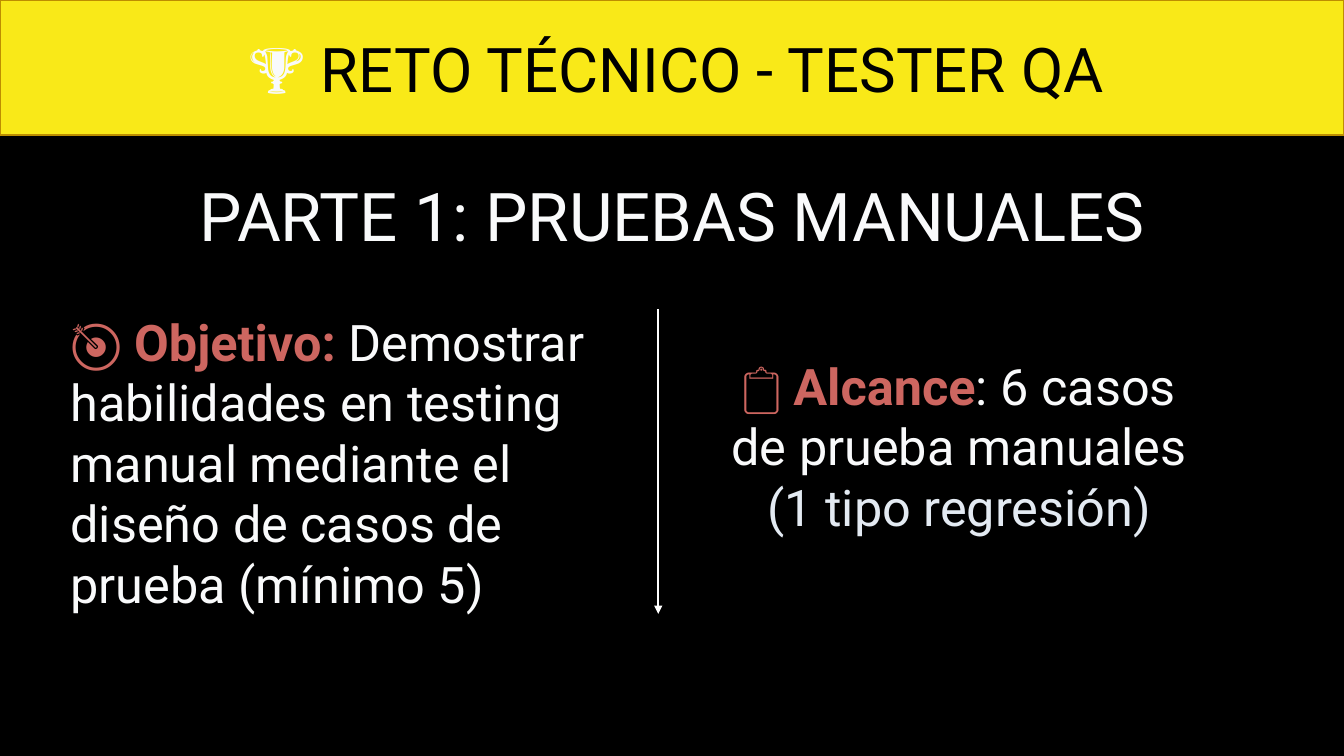
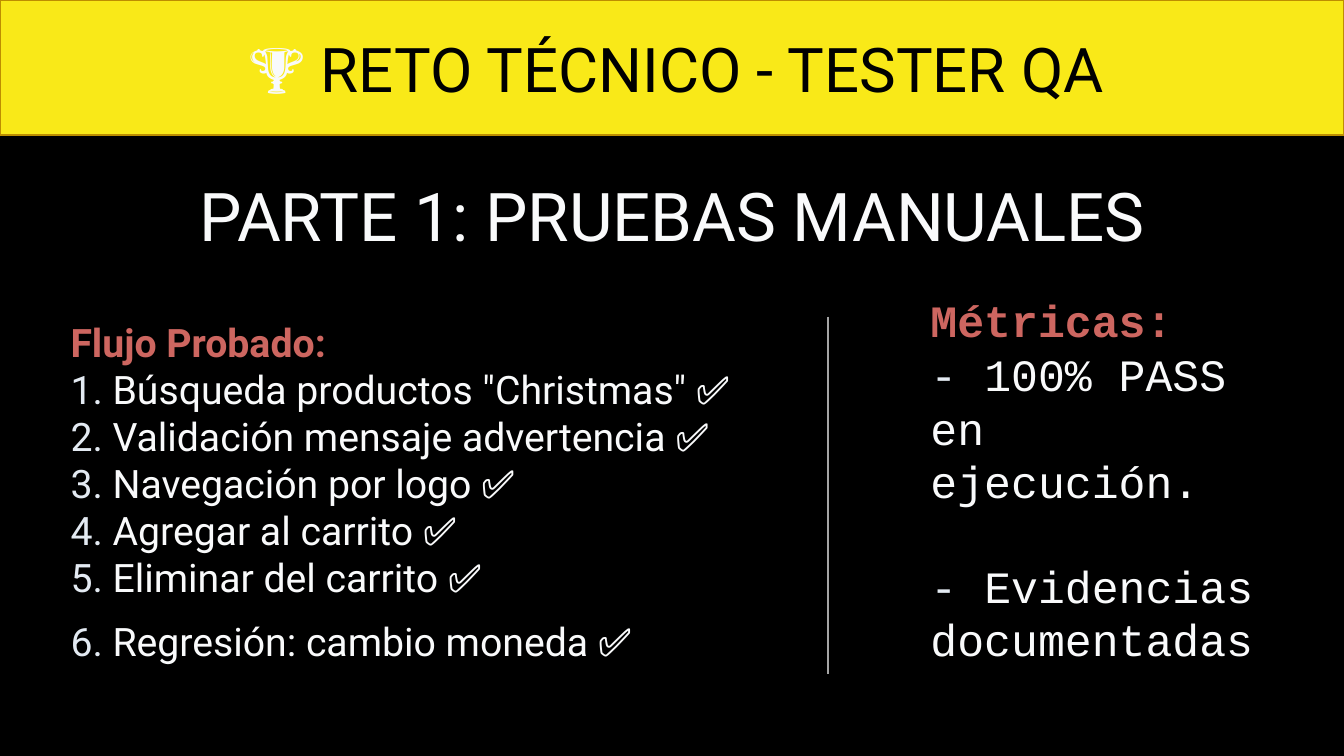
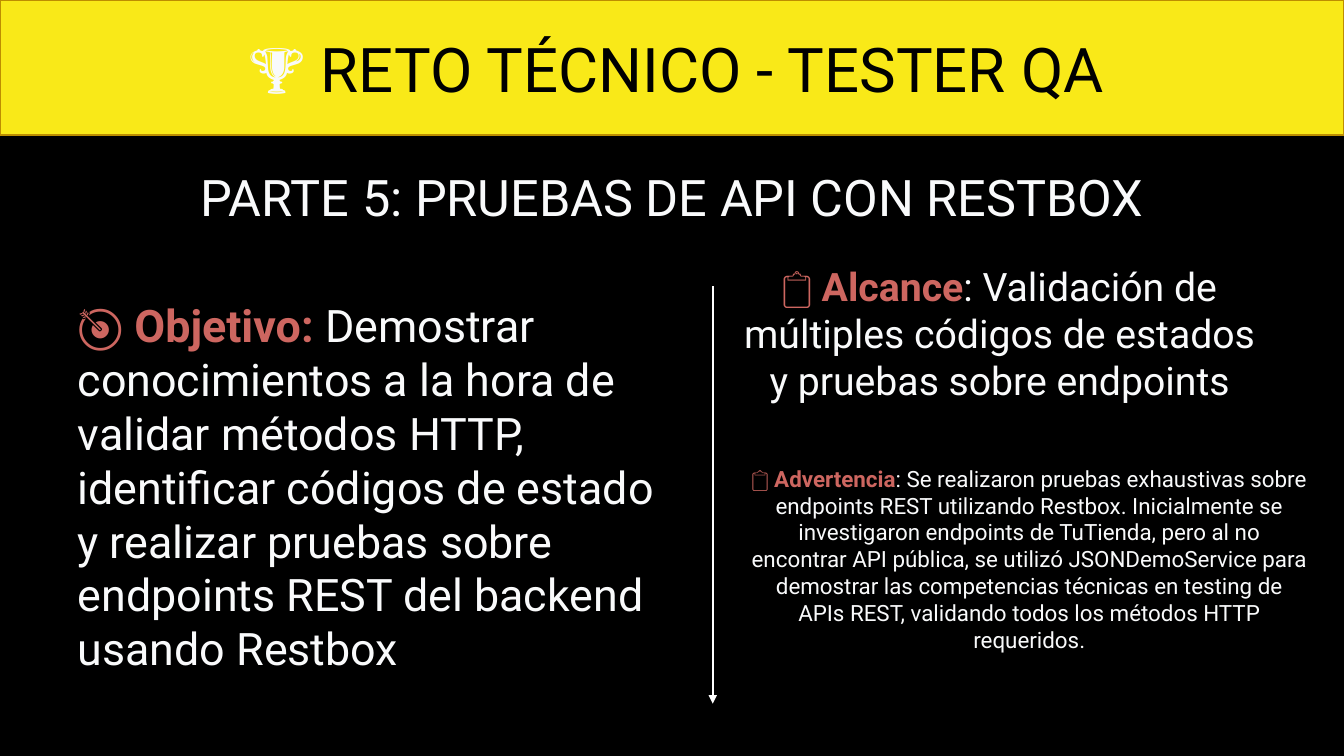
"""Build three slides on a QA technical challenge."""
from lxml.etree import SubElement
from pptx import Presentation
from pptx.dml.color import RGBColor
from pptx.enum.shapes import MSO_CONNECTOR, MSO_SHAPE
from pptx.enum.text import MSO_ANCHOR, MSO_AUTO_SIZE, PP_ALIGN
from pptx.oxml.ns import qn
from pptx.util import Inches, Pt

COLORS = {
    "background": "000000", "band": "F9E918", "band_edge": "BD8E00", "dark": "000000",
    "text": "F9FAFB", "accent": "CD6660", "pale": "E3EAF2", "arrow": "FFFFFF", "rule": "A5A5A5",
}
WIDTH, HEIGHT = Inches(13.33), Inches(7.5)
BAND_AREA = (0, 0, 100, 17.87)
HEADER_AREA = (16.73, 4, 65.48, 9.87)
HEADER = [[("🏆 ", "text"), ("RETO TÉCNICO - TESTER QA", "dark")]]

MANUAL_TITLE = {"text": "PARTE 1: PRUEBAS MANUALES", "size": 48, "area": (14.63, 22.93, 70.8, 10.8)}
API_TITLE = {"text": "PARTE 5: PRUEBAS DE API CON RESTBOX", "size": 36, "area": (6.6, 21.87, 86.85, 8.13)}
FLOW_STEPS = [
    'Búsqueda productos "Christmas"', "Validación mensaje advertencia", "Navegación por logo",
    "Agregar al carrito", "Eliminar del carrito", "Regresión: cambio moneda",
]
FLOW = [[("Flujo Probado:", "accent")]] + [
    [(f"{number}.", "pale"), (f" {step} ✅", "text")] for number, step in enumerate(FLOW_STEPS, 1)
]
METRICS = [
    [("Métricas:", "accent")],
    [("-", "pale"), (" 100% PASS en ejecución.", "text")],
    [("-", "pale"), (" Evidencias documentadas", "text")],
]
SLIDES = [
    {
        "title": MANUAL_TITLE,
        "divider": {"x": 48.98, "top": 40.93, "bottom": 81.2, "color": "arrow", "arrow": True},
        "blocks": [
            {"area": (5.25, 40.93, 39.75, 40.4), "size": 36, "paragraphs": [[
                ("🎯 Objetivo:", "accent"),
                (" Demostrar habilidades en testing manual mediante el diseño de casos de prueba "
                 "(mínimo 5)", "text")]]},
            {"area": (53.18, 46.8, 36.38, 24.27), "size": 36, "align": PP_ALIGN.CENTER, "paragraphs": [[
                ("📋 Alcance", "accent"), (": 6 casos de prueba manuales ", "text"),
                ("(1 tipo regresión)", "pale")]]},
        ],
    },
    {
        "title": MANUAL_TITLE,
        "divider": {"x": 61.58, "top": 41.87, "bottom": 89.2, "color": "rule", "arrow": False},
        "blocks": [
            {"area": (5.25, 41.6, 52.88, 46.67), "size": 28, "paragraphs": FLOW, "last_gap": 12},
            {"area": (69.23, 41.87, 24.38, 43.07), "size": 32, "paragraphs": METRICS, "last_gap": 36,
             "font": "Courier New"},
        ],
    },
    {
        "title": API_TITLE,
        "divider": {"x": 53.03, "top": 37.87, "bottom": 93.07, "color": "arrow", "arrow": True},
        "blocks": [
            {"area": (5.78, 39.2, 45.15, 50.27), "size": 32, "paragraphs": [[
                ("🎯 Objetivo: ", "accent"),
                ("Demostrar conocimientos a la hora de validar métodos HTTP, identificar códigos de "
                 "estado y realizar pruebas sobre endpoints REST del backend usando Restbox", "text")]]},
            {"area": (54.38, 34.67, 39.98, 18.8), "size": 28, "align": PP_ALIGN.CENTER, "paragraphs": [[
                ("📋 Alcance", "accent"),
                (": Validación de múltiples códigos de estados y pruebas sobre endpoints", "text")]]},
            {"area": (55.88, 61.33, 41.4, 25.2), "size": 16, "align": PP_ALIGN.CENTER, "paragraphs": [[
                ("📋 Advertencia", "accent"),
                (": Se realizaron pruebas exhaustivas sobre endpoints REST utilizando Restbox. "
                 "Inicialmente se investigaron endpoints de TuTienda, pero al no encontrar API pública, "
                 "se utilizó JSONDemoService para demostrar las competencias técnicas en testing de "
                 "APIs REST, validando todos los métodos HTTP requeridos.", "text")]]},
        ],
    },
]


def color(name):
    return RGBColor.from_string(COLORS[name])


def place(area):
    """Turn percentages of the slide into lengths."""
    return [round(share * side / 100) for share, side in zip(area, (WIDTH, HEIGHT) * 2)]


def add_text(page, area, paragraphs, size, align=PP_ALIGN.LEFT, font="Roboto", last_gap=0, wrap=True):
    frame = page.shapes.add_textbox(*place(area)).text_frame
    frame.word_wrap = wrap
    frame.auto_size = MSO_AUTO_SIZE.SHAPE_TO_FIT_TEXT
    frame.vertical_anchor = MSO_ANCHOR.MIDDLE
    frame.margin_left = frame.margin_right = frame.margin_top = frame.margin_bottom = 0
    for index, spans in enumerate(paragraphs):
        para = frame.add_paragraph() if index else frame.paragraphs[0]
        para.alignment = align
        para.font.size, para.font.name = Pt(size), font
        for text, tint in spans:
            span = para.add_run()
            span.text = text
            span.font.color.rgb = color(tint)
            span.font.bold = tint == "accent"
    if last_gap:
        para.space_before = Pt(last_gap)


def add_divider(page, divider):
    left, top = place((divider["x"], divider["top"]))
    bottom = place((0, divider["bottom"]))[1]
    rule = page.shapes.add_connector(MSO_CONNECTOR.STRAIGHT, left, top, left, bottom)
    rule.line.color.rgb = color(divider["color"])
    rule.line.width = Pt(1.5)
    properties = rule.element.spPr
    if divider["arrow"]:
        SubElement(properties.find(qn("a:ln")), qn("a:tailEnd"), type="triangle")
    SubElement(properties, qn("a:effectLst"))


def add_page(deck, title):
    page = deck.slides.add_slide(deck.slide_layouts[6])
    page.background.fill.solid()
    page.background.fill.fore_color.rgb = color("background")
    band = page.shapes.add_shape(MSO_SHAPE.RECTANGLE, *place(BAND_AREA))
    band.shadow.inherit = False
    band.fill.solid()
    band.fill.fore_color.rgb = color("band")
    band.line.color.rgb = color("band_edge")
    band.line.width = Pt(1)
    add_text(page, HEADER_AREA, HEADER, 44, PP_ALIGN.RIGHT)
    add_text(page, title["area"], [[(title["text"], "text")]], title["size"], PP_ALIGN.CENTER, wrap=False)
    return page


def main():
    deck = Presentation()
    deck.slide_width, deck.slide_height = WIDTH, HEIGHT
    for slide in SLIDES:
        page = add_page(deck, slide["title"])
        for block in slide["blocks"]:
            add_text(page, **block)
        add_divider(page, slide["divider"])
    deck.save("out.pptx")


if __name__ == "__main__":
    main()
